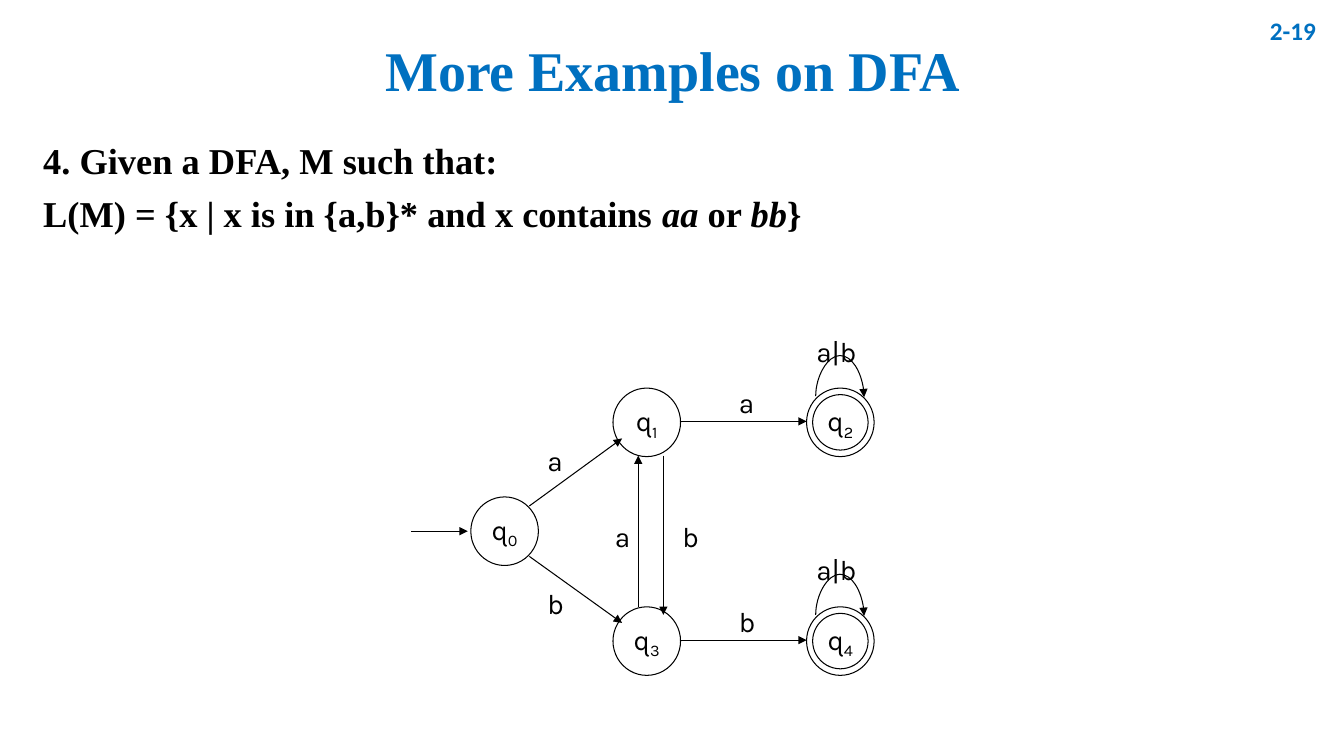
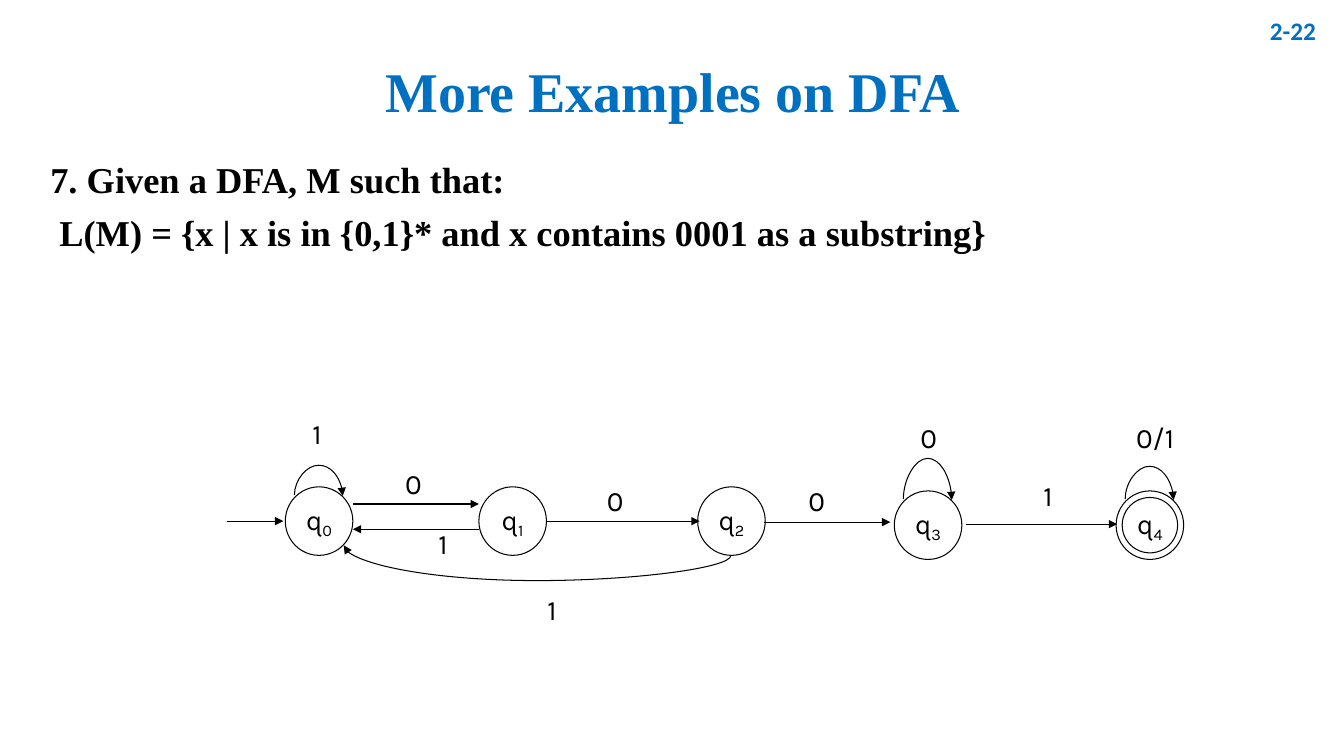
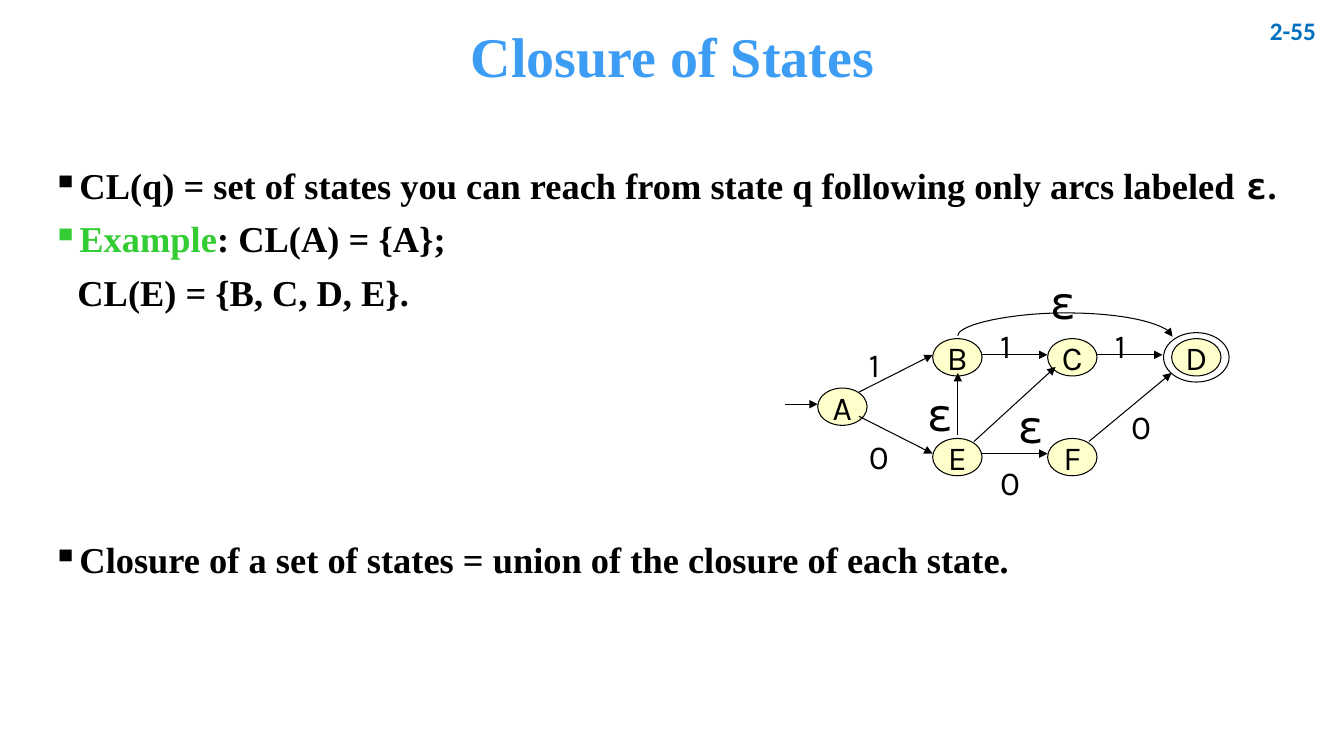
from lxml.etree import SubElement
from pptx import Presentation
from pptx.dml.color import RGBColor
from pptx.enum.shapes import MSO_CONNECTOR as Connector, MSO_SHAPE as Shape
from pptx.enum.text import MSO_ANCHOR as Anchor, PP_ALIGN as Align
from pptx.oxml.ns import qn
from pptx.util import Inches, Pt

BLACK = RGBColor(0x00, 0x00, 0x00)
BLUE = RGBColor(0x00, 0x70, 0xC0)
LIGHT_BLUE = RGBColor(0x3D, 0x9C, 0xF3)
GREEN = RGBColor(0x33, 0xCC, 0x33)
YELLOW = RGBColor(0xFF, 0xFF, 0x99)

SERIF, DIAGRAM, SYMBOL, NUMBER = "Times New Roman", "Karla", "DejaVu Sans Mono", "Calibri"
LABEL_HEIGHT = {20: 0.44, 24: 0.5, 32: 0.64}
NUMBER_BOX = (12.26, 0, 0.89, 0.6)

ITALIC = {"italic": True}
HANGING = {"left": 0.25, "hang": 0.25}
BULLET = {**HANGING, "bullet": "▪"}

# A paragraph is (runs, layout); a run is (text, format).
# States are name: (left, top), arrows are (x1, y1, x2, y2),
# arcs add the height of the peak, loops are state: rise above the state.
CONTAINS_AA_OR_BB = {
    "number": "2-19",
    "title": ("More Examples on DFA", (1.57, 0.31, 10.2, 0.84), BLUE),
    "body_box": (0.33, 1.37, 11.43, 1.68),
    "body": [
        ([("4. Given a DFA, M such that:", {})], HANGING),
        ([("L(M) = {x | x is in {a,b}* and x contains ", {}), ("aa ", ITALIC),
          ("or ", {}), ("bb", ITALIC), ("}", {})], HANGING),
    ],
    "state_size": (0.67, 0.68), "ring_inset": (0.06, 0.065), "label_size": 20, "fill": None,
    "states": {"q0": (4.67, 4.93), "q1": (6.08, 3.85), "q2": (8, 3.85),
               "q3": (6.08, 6.02), "q4": (8, 6.02)},
    "accepting": ["q2", "q4"],
    "arrows": [(4.08, 5.27, 4.64, 5.27), (5.25, 5.02, 6.17, 4.35), (5.25, 5.52, 6.17, 6.18),
               (6.33, 6.02, 6.33, 4.52), (6.58, 4.52, 6.58, 6.1),
               (6.75, 4.18, 8, 4.18), (6.75, 6.35, 8, 6.35)],
    "loops": {"q2": 0.33, "q4": 0.33},
    "arcs": [],
    "labels": [("a", 5.33, 4.35), ("b", 5.33, 5.77), ("a", 6, 5.1), ("b", 6.67, 5.1),
               ("a", 7.23, 3.78), ("b", 7.23, 5.95), ("a|b", 8, 3.27), ("a|b", 8, 5.43)],
}

CONTAINS_0001 = {
    "number": "2-22",
    "title": ("More Examples on DFA", (1.57, 0.31, 10.2, 1.25), BLUE),
    "body_box": (0.4, 1.56, 10.88, 1.44),
    "body": [
        ([("7. Given a DFA, M such that:", {})], HANGING),
        ([("L(M) = {x | x is in {0,1}* and x contains 0001 as a substring}", {})],
         {"left": 0.09}),
    ],
    "state_size": (0.67, 0.68), "ring_inset": (0.06, 0.065), "label_size": 20, "fill": None,
    "states": {"q0": (2.83, 4.83), "q1": (4.75, 4.83), "q2": (6.92, 4.83),
               "q3": (8.87, 4.87), "q4": (11.07, 4.87)},
    "accepting": ["q4"],
    "arrows": [(2.25, 5.17, 2.81, 5.17), (3.5, 5, 4.75, 5), (4.75, 5.25, 3.5, 5.25),
               (5.42, 5.17, 6.94, 5.17), (7.58, 5.18, 8.83, 5.18), (9.58, 5.2, 11.08, 5.2)],
    "loops": {"q0": 0.22, "q3": 0.33, "q4": 0.25},
    "arcs": [(7.25, 5.51, 3.41, 5.41, 5.76)],
    "labels": [("1", 3, 4.08), ("0", 3.92, 4.58), ("1", 4.25, 5.17), ("1", 5.33, 5.83),
               ("0", 5.92, 4.75), ("0", 7.92, 4.75), ("0", 9.03, 4.12),
               ("1", 10.25, 4.7), ("0/1", 11.17, 4.12)],
}

CLOSURE = {
    "number": "2-55",
    "title": ("Closure of States", (0.92, 0.05, 11.5, 1.08), LIGHT_BLUE),
    "body_box": (0.42, 1.62, 12.6, 5.13),
    "body": [
        ([("CL(q) = set of states you can reach from state q following only arcs labeled ", {}),
          ("ε", {"font": SYMBOL}), (".", {})], BULLET),
        ([("Example", {"color": GREEN}), (": CL(A) = {A};", {})], BULLET),
        ([("CL(E) = {B, C, D, E}.", {})], {"left": 0.25}),
        ([("Closure of a set of states = union of the closure of each state.", {})],
         {**BULLET, "before": 163}),
    ],
    "state_size": (0.49, 0.37), "ring_inset": (-0.08, -0.06), "label_size": 24, "fill": YELLOW,
    "states": {"A": (8.11, 3.85), "B": (9.25, 3.36), "C": (10.39, 3.36),
               "D": (11.62, 3.36), "E": (9.25, 4.35), "F": (10.39, 4.35)},
    "accepting": ["D"],
    "arrows": [(7.79, 4.01, 8.11, 4.01), (8.52, 3.89, 9.25, 3.52), (8.52, 4.13, 9.25, 4.5),
               (9.74, 3.52, 10.39, 3.52), (10.88, 3.52, 11.53, 3.52), (9.5, 4.32, 9.5, 3.7),
               (9.66, 4.38, 10.47, 3.64), (9.74, 4.5, 10.39, 4.5), (10.8, 4.38, 11.62, 3.7)],
    "loops": {},
    "arcs": [(9.5, 3.33, 11.63, 3.34, 3.1)],
    "labels": [("1", 8.52, 3.36), ("1", 9.82, 3.17), ("1", 10.96, 3.17), ("0", 8.52, 4.28),
               ("0", 11.12, 3.98), ("0", 9.82, 4.53), ("ε", 10.31, 2.68),
               ("ε", 9.09, 3.79), ("ε", 9.99, 3.91)],
}


def write(frame, paragraphs, size, font, color=BLACK, bold=False, align=Align.LEFT,
          anchor=Anchor.TOP, wrap=True, line_spacing=None, before=0):
    """Fill a text frame; run and paragraph formats override the keywords."""
    frame.word_wrap, frame.vertical_anchor = wrap, anchor
    for index, (runs, layout) in enumerate(paragraphs):
        paragraph = frame.add_paragraph() if index else frame.paragraphs[0]
        paragraph.alignment, paragraph.line_spacing = align, line_spacing
        if index:
            paragraph.space_before = Pt(layout.get("before", before))
        properties = paragraph._p.get_or_add_pPr()
        properties.set("marL", str(Inches(layout.get("left", 0))))
        properties.set("indent", str(-Inches(layout.get("hang", 0))))
        if "bullet" in layout:
            SubElement(properties, qn("a:buChar")).set("char", layout["bullet"])
        for text, style in runs:
            run = paragraph.add_run()
            run.text = text
            run.font.size, run.font.name = Pt(size), style.get("font", font)
            run.font.bold, run.font.italic = bold, style.get("italic", False)
            run.font.color.rgb = style.get("color", color)
            if "baseline" in style:
                run._r.get_or_add_rPr().set("baseline", style["baseline"])


def add_text(slide, box, paragraphs, **style):
    frame = slide.shapes.add_textbox(*map(Inches, box)).text_frame
    write(frame, paragraphs, **style)


def plain(text):
    return [([(text, {})], {})]


def add_ellipse(slide, box, fill=None):
    ellipse = slide.shapes.add_shape(Shape.OVAL, *map(Inches, box))
    ellipse.shadow.inherit = False
    ellipse.line.color.rgb, ellipse.line.width = BLACK, Pt(0.75)
    if fill is None:
        ellipse.fill.background()
    else:
        ellipse.fill.solid()
        ellipse.fill.fore_color.rgb = fill
        tint = ellipse._element.spPr.find(qn("a:solidFill"))[0]
        SubElement(tint, qn("a:alpha")).set("val", "50000")
    return ellipse


def add_arrow(slide, x1, y1, x2, y2, kind=Connector.STRAIGHT):
    arrow = slide.shapes.add_connector(kind, *map(Inches, (x1, y1, x2, y2)))
    arrow.line.color.rgb, arrow.line.width = BLACK, Pt(0.75)
    SubElement(arrow.line._get_or_add_ln(), qn("a:tailEnd")).set("type", "triangle")
    SubElement(arrow._element.spPr, qn("a:effectLst"))
    return arrow


def add_arc(slide, x1, y1, x2, y2, peak):
    """Curved arrow that leaves and arrives vertically and turns at height peak."""
    mid_x, mid_y = (x1 + x2) / 2, (y1 + y2) / 2
    half_x, half_y = (x2 - x1) / 2, (y2 - y1) / 2
    # The connector is laid out on its side, then turned by 90 degrees.
    arc = add_arrow(slide, mid_x - half_y, mid_y + half_x, mid_x + half_y, mid_y - half_x,
                    Connector.CURVE)
    properties = arc._element.spPr
    properties.find(qn("a:xfrm")).set("rot", "5400000")
    geometry = properties.find(qn("a:prstGeom"))
    guides = geometry.find(qn("a:avLst"))
    if guides is None:
        guides = SubElement(geometry, qn("a:avLst"))
    guide = SubElement(guides, qn("a:gd"))
    guide.set("name", "adj1")
    guide.set("fmla", f"val {round((peak - y1) / (y2 - y1) * 100000)}")


def add_automaton(slide, content):
    width, height = content["state_size"]
    inset_x, inset_y = content["ring_inset"]
    size = content["label_size"]
    for name, (left, top) in content["states"].items():
        state = add_ellipse(slide, (left, top, width, height), content["fill"])
        runs = [(name[0], {})]
        if name[1:]:
            runs.append((name[1:], {"baseline": "-24000"}))
        write(state.text_frame, [(runs, {})], size=size, font=DIAGRAM, align=Align.CENTER,
              anchor=Anchor.MIDDLE, wrap=False)
        if name in content["accepting"]:
            add_ellipse(slide, (left + inset_x, top + inset_y,
                                width - 2 * inset_x, height - 2 * inset_y))
    for arrow in content["arrows"]:
        add_arrow(slide, *arrow)
    for name, rise in content["loops"].items():
        left, top = content["states"][name]
        add_arc(slide, left + 0.09, top + 0.08, left + 0.57, top + 0.09, top - rise)
    for arc in content["arcs"]:
        add_arc(slide, *arc)
    for text, left, top in content["labels"]:
        label_size, font = (32, SYMBOL) if text == "ε" else (size, DIAGRAM)
        box = (left, top, 0.38 + 0.14 * (len(text) - 1), LABEL_HEIGHT[label_size])
        add_text(slide, box, plain(text), size=label_size, font=font)


def add_slide(deck, content):
    slide = deck.slides.add_slide(deck.slide_layouts[6])
    title, title_box, title_color = content["title"]
    add_text(slide, NUMBER_BOX, plain(content["number"]), size=18, font=NUMBER, color=BLUE,
             bold=True, align=Align.RIGHT, anchor=Anchor.MIDDLE)
    add_text(slide, title_box, plain(title), size=40, font=SERIF, color=title_color,
             bold=True, align=Align.CENTER, anchor=Anchor.MIDDLE, line_spacing=0.9)
    add_text(slide, content["body_box"], content["body"], size=26, font=SERIF, bold=True,
             align=Align.JUSTIFY, line_spacing=0.9, before=10)
    add_automaton(slide, content)


def main():
    deck = Presentation()
    deck.slide_width, deck.slide_height = Inches(13.33), Inches(7.5)
    for content in (CONTAINS_AA_OR_BB, CONTAINS_0001, CLOSURE):
        add_slide(deck, content)
    deck.save("out.pptx")


if __name__ == "__main__":
    main()
